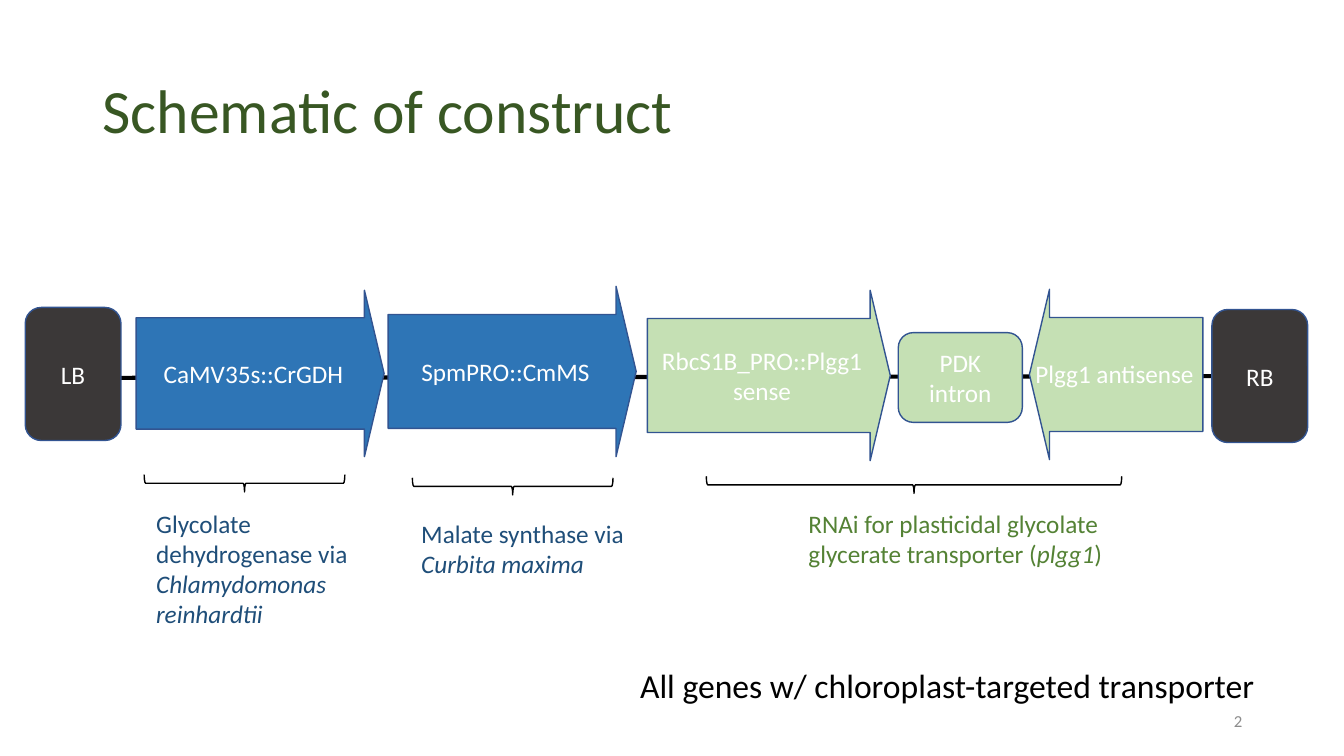
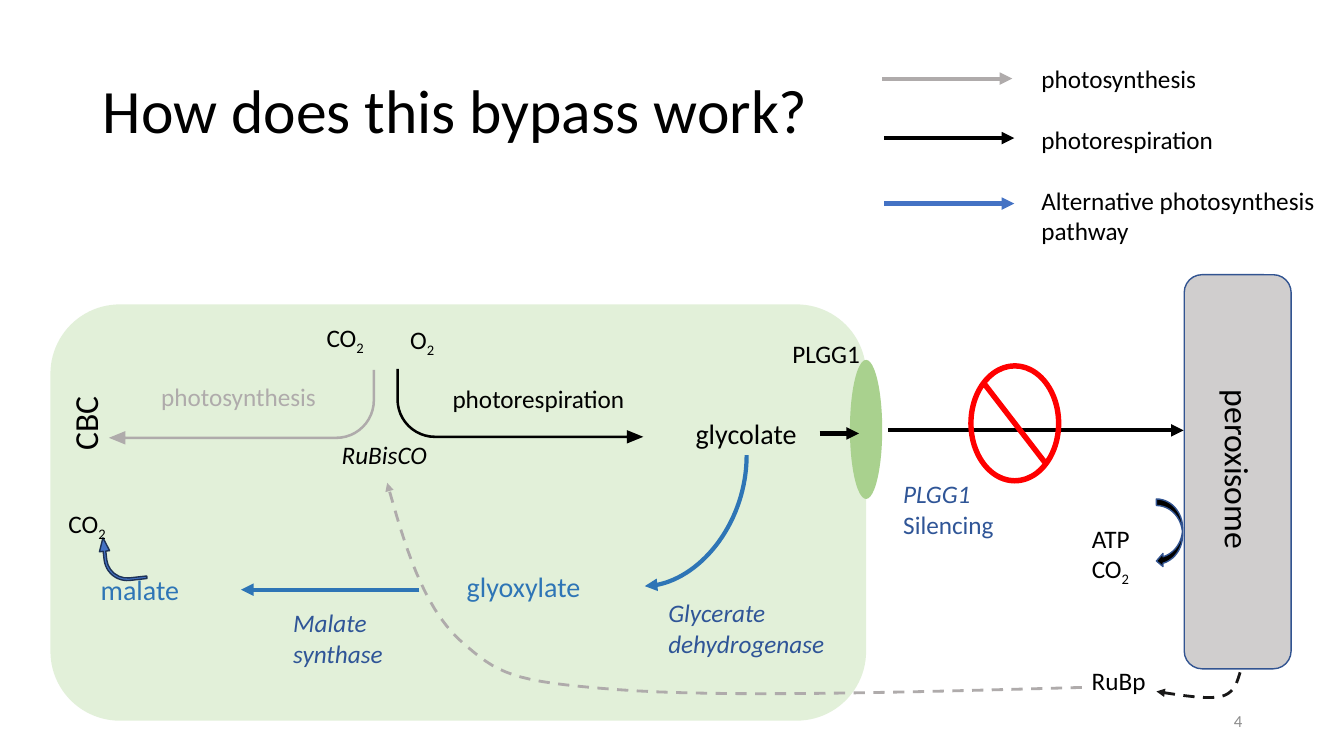
from lxml.etree import SubElement
from pptx import Presentation
from pptx.dml.color import RGBColor
from pptx.enum.dml import MSO_LINE
from pptx.enum.shapes import MSO_CONNECTOR, MSO_SHAPE
from pptx.enum.text import MSO_ANCHOR, PP_ALIGN
from pptx.oxml.ns import qn
from pptx.util import Pt

PX = 9144  # EMU per px, 100 px to the inch
FONT = "Calibri"
BLACK, WHITE, GREY, NUMBER = "000000", "FFFFFF", "AFABAB", "8C8C8C"
BLUE, NAVY, ENZYME, ACCENT, EDGE = "2E75B6", "1F4E79", "2F5597", "4472C4", "325491"
MINT, LEAF, CHARCOAL, RED = "C5E0B4", "548235", "3B3838", "FF0000"
rgb = RGBColor.from_string


def add(s, box, text="", color=BLACK, size=18, kind=None, fill=None, line=None,
        adj=(), rot=0, align=PP_ALIGN.LEFT, anchor=MSO_ANCHOR.TOP, wrap=True):
    """Text box, or preset shape if kind is given; in text, | splits runs, * is italic, ~ subscript."""
    box = [v * PX for v in box]
    if kind is None:
        sp = s.shapes.add_textbox(*box)
    else:
        sp = s.shapes.add_shape(kind, *box)
        sp.shadow.inherit = False
        for i, value in enumerate(adj):
            sp.adjustments[i] = value
        if fill:
            sp.fill.solid()
            sp.fill.fore_color.rgb = rgb(fill)
        else:
            sp.fill.background()
        if line:
            sp.line.color.rgb = rgb(line)
            sp.line.width = Pt(1)
        else:
            sp.line.fill.background()
    sp.rotation = rot
    tf = sp.text_frame
    tf.word_wrap = wrap
    tf.vertical_anchor = anchor
    for i, para in enumerate(text.split("\n") if text else []):
        p = tf.add_paragraph() if i else tf.paragraphs[0]
        p.alignment = align
        for part in para.split("|"):
            r = p.add_run()
            r.text = part.lstrip("*~")
            r.font.name = FONT
            r.font.size = Pt(size)
            r.font.color.rgb = rgb(color)
            if part.startswith("*"):
                r.font.italic = True
            if part.startswith("~"):
                r.font._element.set("baseline", "-25000")
    return sp


def stroke(sp, color, width=3, head=True, dash=False):
    """Line colour, width, dash and arrowhead of a connector or an open curve."""
    sp.line.color.rgb = rgb(color)
    sp.line.width = Pt(width)
    if dash:
        sp.line.dash_style = MSO_LINE.DASH
    spPr = sp._element.spPr
    if head:
        SubElement(spPr.find(qn("a:ln")), qn("a:tailEnd"), type="triangle")
    SubElement(spPr, qn("a:effectLst"))


prs = Presentation()
prs.slide_width, prs.slide_height = 1333 * PX, 750 * PX

# Titles and slide numbers
slides = []
for title, color, number in [("Schematic of construct", "385723", "2"),
                             ("How does this bypass work?", BLACK, "4")]:
    s = prs.slides.add_slide(prs.slide_layouts[6])
    sp = add(s, (92, 40, 1150, 145), title, color, 44, anchor=MSO_ANCHOR.MIDDLE)
    sp.text_frame.paragraphs[0].line_spacing = 0.9
    add(s, (942, 695, 300, 40), number, NUMBER, 12,
        align=PP_ALIGN.RIGHT, anchor=MSO_ANCHOR.MIDDLE)
    slides.append(s)
construct, bypass = slides

# Construct: backbone and gene blocks
s = construct
backbone = s.shapes.add_connector(MSO_CONNECTOR.STRAIGHT, 40 * PX, 375 * PX, 1298 * PX, 373 * PX)
stroke(backbone, BLACK, head=False)
ARROW, ROUND = MSO_SHAPE.RIGHT_ARROW, MSO_SHAPE.ROUNDED_RECTANGLE
for box, kind, fill, rot, text in [
    ((25, 305, 95, 132), ROUND, CHARCOAL, 0, "LB"),
    ((135, 288, 246, 165), ARROW, BLUE, 0, "CaMV35s::CrGDH"),
    ((385, 284, 246, 169), ARROW, BLUE, 0, "SpmPRO::CmMS"),
    ((642, 288, 241, 169), ARROW, MINT, 0, "RbcS1B_PRO::Plgg1 sense"),
    ((1021, 287, 172, 169), ARROW, MINT, 180, ""),
    ((891, 330, 123, 89), ROUND, MINT, 0, "PDK intron"),
    ((1202, 307, 95, 132), ROUND, CHARCOAL, 0, "RB"),
]:
    block = add(s, box, text, WHITE, kind=kind, fill=fill, line=EDGE, rot=rot,
                adj=(0.669, 0.118) if kind == ARROW else (),
                align=PP_ALIGN.CENTER, anchor=MSO_ANCHOR.MIDDLE)
backbone.end_connect(block, 3)
add(s, (1017, 351, 179, 40), "Plgg1 antisense", WHITE, wrap=False)

# Construct: braces and what each part does
for box in [(898, 275, 17, 412), (500, 383, 17, 199), (234, 380, 17, 199)]:
    add(s, box, kind=MSO_SHAPE.RIGHT_BRACE, line=BLACK, rot=90)
for box, text, color in [
    ((145, 499, 215, 131), "Glycolate dehydrogenase via\n*Chlamydomonas reinhardtii", NAVY),
    ((408, 509, 230, 71), "Malate synthase via |*Curbita maxima", NAVY),
    ((792, 499, 370, 71),
     "RNAi for plasticidal glycolate glycerate transporter (|*plgg1|)", LEAF),
]:
    add(s, box, text, color)
add(s, (625, 655, 635, 50), "All genes w/ chloroplast-targeted transporter", size=24, wrap=False)

# Bypass: chloroplast, peroxisome and transporter
s = bypass
add(s, (50, 302, 809, 413), kind=ROUND, fill="E2F0D9")
add(s, (1032, 415, 391, 106), kind=ROUND, fill="D0CECE", line=EDGE, rot=90)
add(s, (790, 410, 138, 32), kind=MSO_SHAPE.OVAL, fill="A9D18E", rot=270)

# Bypass: bent and curved block arrows
BENT, bend = MSO_SHAPE.BENT_ARROW, (0.034, 0.09, 0.22, 0.519)
add(s, (108, 367, 264, 74), kind=BENT, fill=GREY, adj=bend, rot=180)
sp = add(s, (393, 366, 245, 74), kind=BENT, fill=BLACK, adj=bend, rot=180)
sp._element.spPr.find(qn("a:xfrm")).set("flipH", "1")
add(s, (99, 532, 45, 44), kind=BENT, fill=ACCENT, line="1E3256",
    adj=(0.059, 0.116, 0.304, 0.525), rot=263.6)
add(s, (1147, 495, 26, 68), kind=MSO_SHAPE.CURVED_LEFT_ARROW, fill=BLACK, line=EDGE)

# Bypass: straight arrows, the last three belong to the legend
for x1, y1, x2, y2, color in [
    (881, 427, 1174, 427, BLACK),
    (416, 585, 239, 585, BLUE),
    (813, 430, 852, 430, BLACK),
    (875, 78, 1004, 78, GREY),
    (877, 137, 1006, 137, BLACK),
    (877, 202, 1006, 202, ACCENT),
]:
    arrow = s.shapes.add_connector(MSO_CONNECTOR.STRAIGHT, x1 * PX, y1 * PX, x2 * PX, y2 * PX)
    stroke(arrow, color)

# Bypass: quarter curve from glycolate to glyoxylate
curve = s.shapes.add_connector(MSO_CONNECTOR.CURVE, 625 * PX, 466 * PX, 755 * PX, 567 * PX)
curve._element.spPr.find(qn("a:prstGeom")).set("prst", "curvedConnector2")
curve.rotation = 90
stroke(curve, BLUE)

# Bypass: dashed return of RuBp, cubic curves sampled in equal steps
STEPS = 16
for color, points in [
    (GREY, [(1073, 682), (893, 687), (713, 692), (610, 684), (507, 676), (494, 669),
            (456, 635), (419, 601), (401, 540), (384, 479)]),
    ("181717", [(1230, 667), (1227, 677), (1224, 688), (1211, 691), (1197, 694),
                (1172, 690), (1147, 686)]),
]:
    track = []
    for i in range(0, len(points) - 1, 3):
        for step in range(1, STEPS + 1):
            t = step / STEPS
            weights = ((1 - t) ** 3, 3 * t * (1 - t) ** 2, 3 * t * t * (1 - t), t ** 3)
            track.append([sum(w * pt[axis] for w, pt in zip(weights, points[i:i + 4])) * PX
                          for axis in (0, 1)])
    fb = s.shapes.build_freeform(points[0][0] * PX, points[0][1] * PX)
    fb.add_line_segments(track, close=False)
    sp = fb.convert_to_shape()
    sp.fill.background()
    stroke(sp, color, 2, dash=True)

# Bypass: silencing sign
add(s, (961, 361, 91, 118), kind=MSO_SHAPE.NO_SYMBOL, fill=RED, line=RED, adj=(0.044,))

# Bypass: labels
for box, text, color, size, rot in [
    ((453, 560, 188, 44), "glyoxylate", BLUE, 20, 0),
    ((90, 563, 149, 44), "malate", BLUE, 20, 0),
    ((680, 408, 121, 44), "glycolate", BLACK, 20, 0),
    ((886, 470, 111, 71), "*PLGG1\nSilencing", ENZYME, 18, 0),
    ((653, 588, 177, 71), "*Glycerate\n*dehydrogenase", ENZYME, 18, 0),
    ((281, 598, 110, 71), "*Malate\n*synthase", ENZYME, 18, 0),
    ((1138, 442, 180, 50), "peroxisome", BLACK, 24, 90),
    ((47, 395, 74, 50), "CBC", BLACK, 24, 270),
    ((439, 375, 193, 40), "photorespiration", BLACK, 18, 0),
    ((150, 373, 175, 40), "photosynthesis", GREY, 18, 0),
    ((314, 315, 59, 40), "CO|~2", BLACK, 18, 0),
    ((397, 317, 45, 40), "O|~2", BLACK, 18, 0),
    ((58, 499, 59, 40), "CO|~2", BLACK, 18, 0),
    ((329, 431, 106, 40), "*RuBisCO", BLACK, 18, 0),
    ((776, 331, 88, 40), "PLGG1", BLACK, 18, 0),
    ((1073, 655, 74, 40), "RuBp", BLACK, 18, 0),
    ((1073, 514, 59, 71), "ATP\nCO|~2", BLACK, 18, 0),
    ((1023, 58, 175, 40), "photosynthesis", BLACK, 18, 0),
    ((1023, 118, 193, 40), "photorespiration", BLACK, 18, 0),
]:
    # Upright 20 pt names keep their wide boxes, so they wrap from the left edge
    add(s, box, text, color, size, rot=rot, wrap=size == 20)
add(s, (1023, 179, 310, 71), "Alternative photosynthesis pathway")

prs.save("out.pptx")
